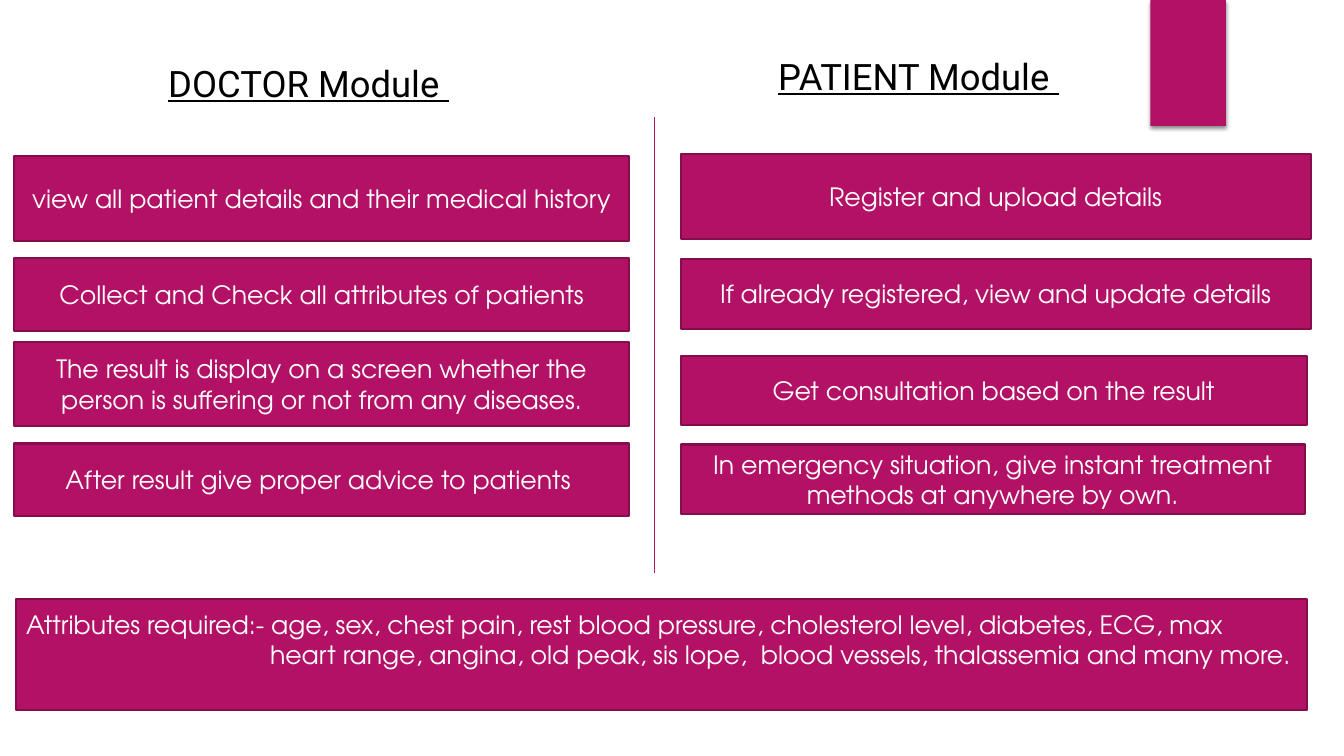
import pptx
import pptx.util
import pptx.dml.color
import pptx.enum.shapes
import pptx.enum.text
import pptx.oxml
import pptx.oxml.ns

PX = 9144
MAGENTA = pptx.dml.color.RGBColor(0xB3, 0x11, 0x66)
PLUM = pptx.dml.color.RGBColor(0x84, 0x0D, 0x4B)
WHITE = pptx.dml.color.RGBColor(0xFF, 0xFF, 0xFF)
BLACK = pptx.dml.color.RGBColor(0x00, 0x00, 0x00)
BODY_FONT = "TeX Gyre Adventor"
HEADING_FONT = "Roboto"
SHADOW = (
    f'<a:effectLst {pptx.oxml.ns.nsdecls("a")}>'
    '<a:outerShdw blurRad="38100" dist="25400" dir="5400000" rotWithShape="0">'
    '<a:srgbClr val="000000"><a:alpha val="45000"/></a:srgbClr>'
    '</a:outerShdw></a:effectLst>'
)

DOCTOR_STEPS = [
    (155, 610, 84, "view all patient details and their medical history"),
    (256, 610, 72, "Collect and Check all attributes of patients"),
    (339, 610, 84, "The result is display on a screen whether the "
                   "person is suffering or not from any diseases."),
    (440, 610, 72, "After result give proper advice to patients "),
]
PATIENT_STEPS = [
    (153, 625, 84, "Register and upload details"),
    (257, 625, 69, "If already registered, view and update details"),
    (353, 621, 69, "Get consultation based on the result"),
    (441, 619, 69, "In emergency situation, give instant treatment "
                   "methods at anywhere by own."),
]
ATTRIBUTES = [
    "Attributes required:- age, sex, chest pain, rest blood pressure, "
    "cholesterol level, diabetes, ECG, max",
    "heart range, angina, old peak, sis lope,  blood vessels, "
    "thalassemia and many more.",
]


def emu(*lengths):
    """Turn px lengths into EMU."""
    return [n * PX for n in lengths]


def style_text(p, name, size, color):
    """Set the font of every run in a paragraph."""
    for r in p.runs:
        r.font.name = name
        r.font.size = pptx.util.Pt(size)
        r.font.color.rgb = color


def add_block(s, x, y, w, h, lines=(), align=pptx.enum.text.PP_ALIGN.CENTER):
    """Draw an outlined magenta box with white text."""
    sp = s.shapes.add_shape(pptx.enum.shapes.MSO_SHAPE.RECTANGLE, *emu(x, y, w, h))
    sp.shadow.inherit = False
    sp.fill.solid()
    sp.fill.fore_color.rgb = MAGENTA
    sp.line.color.rgb = PLUM
    sp.line.width = pptx.util.Pt(1.5)
    tf = sp.text_frame
    tf.word_wrap = True
    tf.vertical_anchor = pptx.enum.text.MSO_ANCHOR.MIDDLE
    tf.text = "\n".join(lines)
    for p in tf.paragraphs:
        p.alignment = align
        style_text(p, BODY_FONT, 18, WHITE)
    return sp


def add_tab(s, x, y, w, h):
    """Draw the shadowed tab hanging from the top edge."""
    sp = s.shapes.add_shape(pptx.enum.shapes.MSO_SHAPE.RECTANGLE, *emu(x, y, w, h))
    sp.fill.solid()
    sp.fill.fore_color.rgb = MAGENTA
    sp.line.fill.background()
    sp._element.spPr.append(pptx.oxml.parse_xml(SHADOW))


def add_heading(s, x, y, w, h, text):
    """Write an underlined module heading."""
    tf = s.shapes.add_textbox(*emu(x, y, w, h)).text_frame
    tf.word_wrap = True
    tf.auto_size = pptx.enum.text.MSO_AUTO_SIZE.SHAPE_TO_FIT_TEXT
    tf.text = text
    p = tf.paragraphs[0]
    style_text(p, HEADING_FONT, 26, BLACK)
    p.runs[0].font.underline = True


def add_module(s, x, heading_x, heading_y, heading, steps):
    """Place a module's heading and its column of steps."""
    add_heading(s, heading_x, heading_y, 369, 54, heading)
    for y, w, h, text in steps:
        add_block(s, x, y, w, h, [text])


def add_divider(s, x, top, bottom):
    """Draw the vertical line between the modules."""
    line = s.shapes.add_connector(
        pptx.enum.shapes.MSO_CONNECTOR.STRAIGHT, *emu(x, top, x, bottom))
    line.line.color.rgb = MAGENTA
    line.line.width = pptx.util.Pt(0.75)
    line._element.spPr.append(pptx.oxml.parse_xml(
        f'<a:effectLst {pptx.oxml.ns.nsdecls("a")}/>'))


def add_attributes(s, x, y, w, h):
    """Draw the attribute list with its second line indented."""
    sp = add_block(s, x, y, w, h, ATTRIBUTES, pptx.enum.text.PP_ALIGN.LEFT)
    tf = sp.text_frame
    tf.vertical_anchor = pptx.enum.text.MSO_ANCHOR.TOP
    tf.margin_top = 10 * PX
    tf.paragraphs[1]._p.get_or_add_pPr().set("marL", str(242 * PX))


def main():
    """Build the slide and save it."""
    prs = pptx.Presentation()
    prs.slide_width, prs.slide_height = emu(1333, 750)
    s = prs.slides.add_slide(prs.slide_layouts[6])
    add_tab(s, 1141, 0, 75, 125)
    add_module(s, 14, 157, 56, "DOCTOR Module ", DOCTOR_STEPS)
    add_module(s, 675, 762, 49, "PATIENT Module ", PATIENT_STEPS)
    add_divider(s, 649, 116, 568)
    add_attributes(s, 16, 594, 1280, 110)
    prs.save("out.pptx")


if __name__ == "__main__":
    main()
